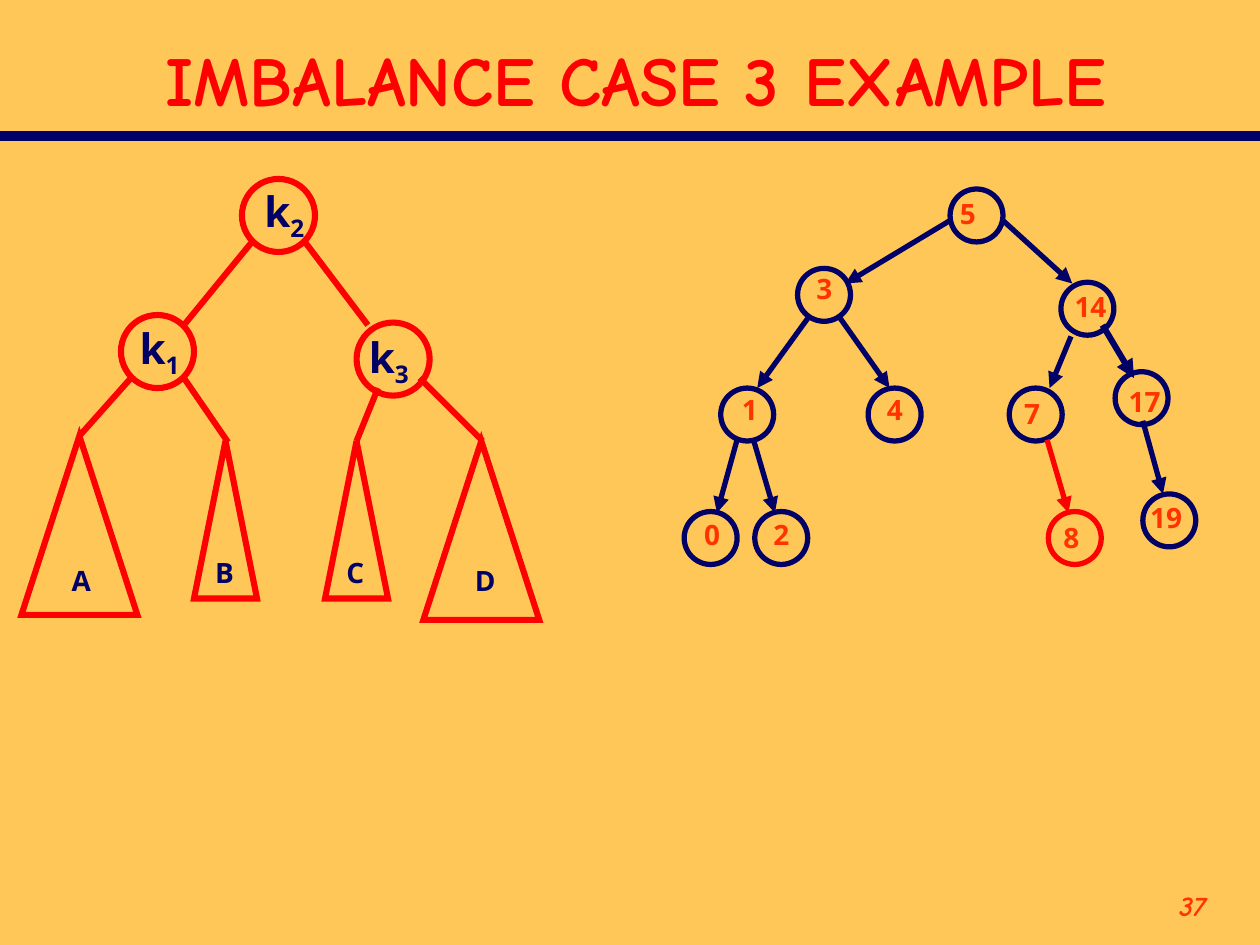
import pptx
import pptx.util
import pptx.dml.color
import pptx.enum.shapes
import pptx.enum.text
import pptx.oxml.ns
import lxml.etree
from pptx.util import Inches

NAVY, RED, ORANGE = "000066", "FF0000", "FF3300"
color = pptx.dml.color.RGBColor.from_string
tag = pptx.oxml.ns.qn
Shape = pptx.enum.shapes.MSO_SHAPE
Align = pptx.enum.text.PP_ALIGN

deck = pptx.Presentation()
deck.slide_width, deck.slide_height = Inches(10), Inches(7.5)
page = deck.slides.add_slide(deck.slide_layouts[6])
page.background.fill.solid()
page.background.fill.fore_color.rgb = color("FFC757")


def add_text(text, left, top, width, height, size, ink, font="Open Sans",
             align=Align.LEFT, wrap=False, subscript=""):
    box = page.shapes.add_textbox(Inches(left), Inches(top), Inches(width), Inches(height))
    box.text_frame.word_wrap = wrap
    para = box.text_frame.paragraphs[0]
    para.alignment = align
    para.font.size = pptx.util.Pt(size)
    para.font.name = font
    para.font.bold = True
    para.font.color.rgb = color(ink)
    para.add_run().text = text
    if subscript:
        span = para.add_run()
        span.text = subscript
        span.font._element.set("baseline", "-25000")
    return box


def add_line(start, end, ink, weight, arrow=False):
    line = page.shapes.add_connector(
        pptx.enum.shapes.MSO_CONNECTOR.STRAIGHT, *map(Inches, start + end))
    line.line.color.rgb = color(ink)
    line.line.width = pptx.util.Pt(weight)
    if arrow:
        lxml.etree.SubElement(line.line._get_or_add_ln(), tag("a:tailEnd"), type="triangle")
    lxml.etree.SubElement(line._element.spPr, tag("a:effectLst"))


# Title, rule and page number
add_line((0, 1.08), (10, 1.08), NAVY, 6)
title = add_text("IMBALANCE CASE 3 EXAMPLE", 0.42, 0.25, 9.25, 0.75, 40, RED,
                 "Comic Neue", Align.CENTER, True)
title.text_frame.vertical_anchor = pptx.enum.text.MSO_ANCHOR.MIDDLE
number = add_text("37", 8.67, 7, 1, 0.5, 16, ORANGE, "Comic Neue", Align.RIGHT, True)
number.text_frame.paragraphs[0].font.italic = True

# Tree nodes: label, circle left and top, label left and top, outline colour
tree_nodes = [
    ("5", 7.54, 1.5, 7.52, 1.51, NAVY),
    ("3", 6.33, 2.13, 6.38, 2.11, NAVY),
    ("14", 8.42, 2.24, 8.43, 2.25, NAVY),
    ("1", 5.72, 3.08, 5.79, 3.07, NAVY),
    ("4", 6.89, 3.08, 6.94, 3.07, NAVY),
    ("7", 8.01, 3.08, 8.03, 3.1, NAVY),
    ("17", 8.85, 2.95, 8.86, 3, NAVY),
    ("0", 5.43, 4.06, 5.49, 4.06, NAVY),
    ("2", 5.99, 4.06, 6.04, 4.06, NAVY),
    ("8", 8.32, 4.06, 8.34, 4.08, RED),
    ("19", 9.07, 3.92, 9.03, 3.92, NAVY),
]
# Key nodes: subscript, circle left and top, label left and top
key_nodes = [
    ("1", 0.96, 2.5, 1.01, 2.51),
    ("2", 1.92, 1.42, 2, 1.42),
    ("3", 2.83, 2.56, 2.83, 2.58),
]
# Subtrees: label, triangle left, top, width, height, label left and top
subtrees = [
    ("A", 0.17, 3.46, 0.92, 1.42, 0.47, 4.42),
    ("B", 1.54, 3.5, 0.5, 1.25, 1.61, 4.36),
    ("C", 2.58, 3.5, 0.5, 1.25, 2.65, 4.36),
    ("D", 3.36, 3.5, 0.92, 1.42, 3.67, 4.42),
]

# Outlines of all circles and triangles, with sharp corners
outlines = [(Shape.OVAL, left, top, 0.42, 0.42, ink, 3)
            for _, left, top, _, _, ink in tree_nodes]
outlines += [(Shape.OVAL, left, top, 0.58, 0.58, RED, 3.5)
             for _, left, top, _, _ in key_nodes]
outlines += [(Shape.ISOSCELES_TRIANGLE, *place, RED, 3.5)
             for _, *place, _, _ in subtrees]
for kind, left, top, width, height, ink, weight in outlines:
    outline = page.shapes.add_shape(kind, Inches(left), Inches(top), Inches(width), Inches(height))
    outline.shadow.inherit = False
    outline.fill.background()
    outline.line.color.rgb = color(ink)
    outline.line.width = pptx.util.Pt(weight)
    lxml.etree.SubElement(outline.line._get_or_add_ln(), tag("a:miter"), lim="800000")

# Labels
for label, _, _, left, top, _ in tree_nodes:
    add_text(label, left, top, 0.32 if len(label) == 1 else 0.45, 0.37, 16, ORANGE)
for subscript, _, _, left, top in key_nodes:
    add_text("k", left, top, 0.6, 0.56, 24, NAVY, wrap=True, subscript=subscript)
for label, *_, left, top in subtrees:
    add_text(label, left, top, 0.35, 0.37, 16, NAVY)

# Arrows of the example tree
for start, end, ink, weight in [
    ((7.54, 1.75), (6.71, 2.25), NAVY, 3),
    ((7.96, 1.75), (8.51, 2.25), NAVY, 3),
    ((6.43, 2.5), (6.01, 3.08), NAVY, 3),
    ((6.65, 2.5), (7.06, 3.08), NAVY, 3),
    ((8.5, 2.67), (8.33, 3.08), NAVY, 3),
    ((8.75, 2.58), (9, 3), NAVY, 3.5),
    ((5.85, 3.49), (5.69, 4.07), NAVY, 3),
    ((5.98, 3.49), (6.15, 4.07), NAVY, 3),
    ((8.31, 3.49), (8.48, 4.07), RED, 3),
    ((9.07, 3.34), (9.23, 3.92), NAVY, 3),
]:
    add_line(start, end, ink, weight, arrow=True)

# Edges of the general tree
for start, end in [
    ((2, 1.92), (1.46, 2.58)),
    ((2.42, 1.92), (2.92, 2.58)),
    ((1.04, 3), (0.63, 3.46)),
    ((1.46, 3), (1.81, 3.51)),
    ((3, 3.08), (2.83, 3.5)),
    ((3.33, 3), (3.83, 3.5)),
]:
    add_line(start, end, RED, 3.5)

deck.save("out.pptx")
